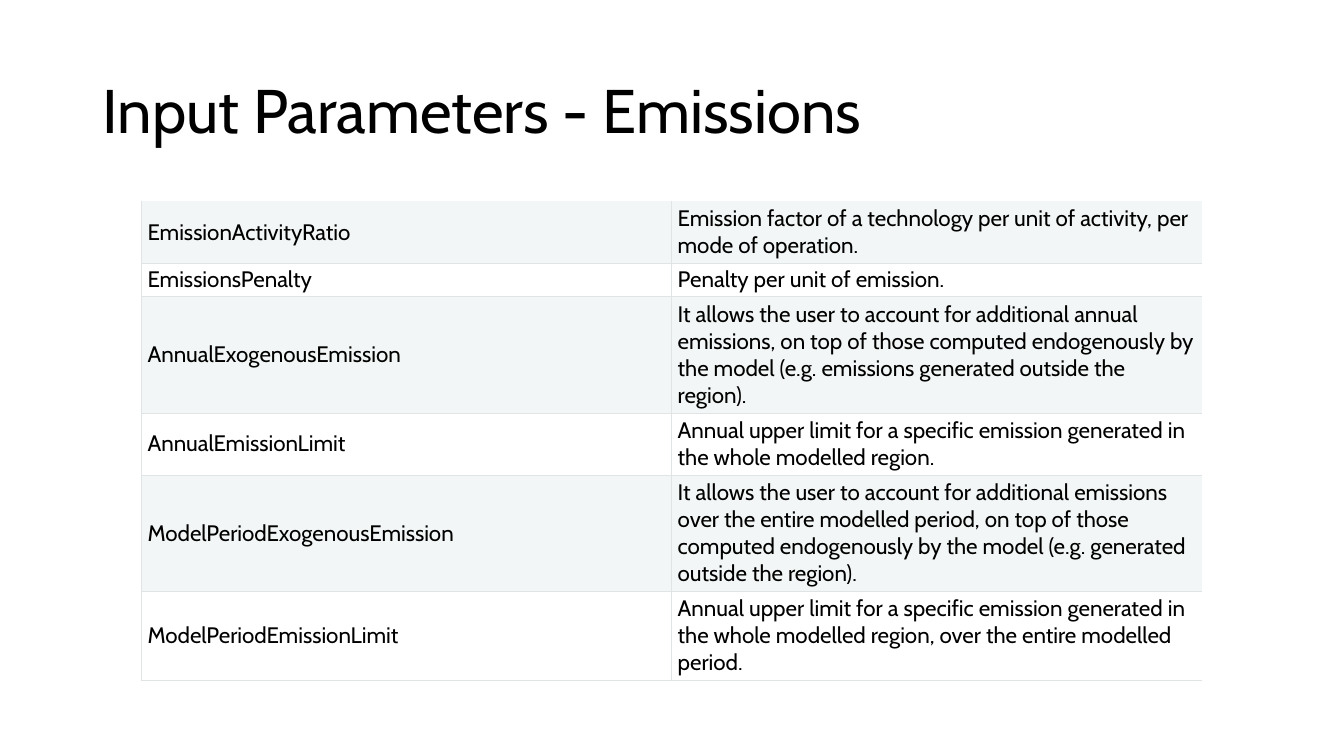
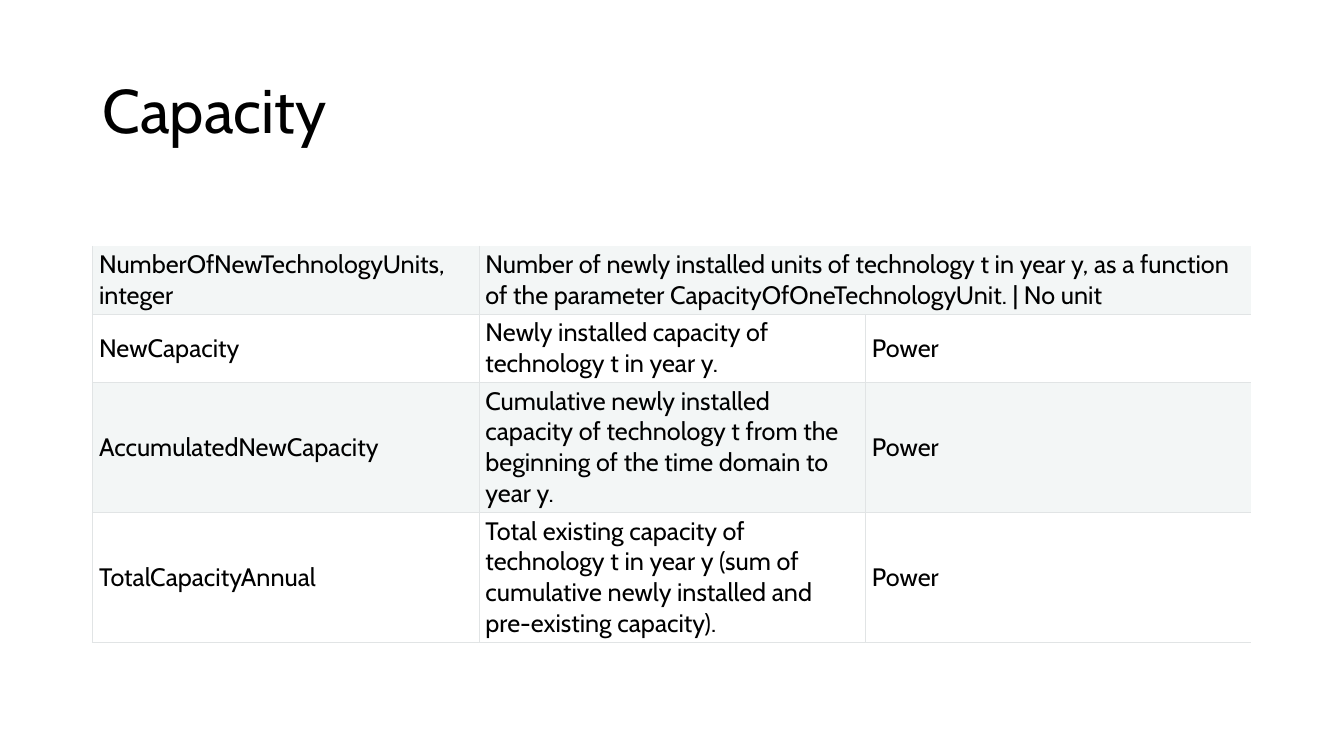
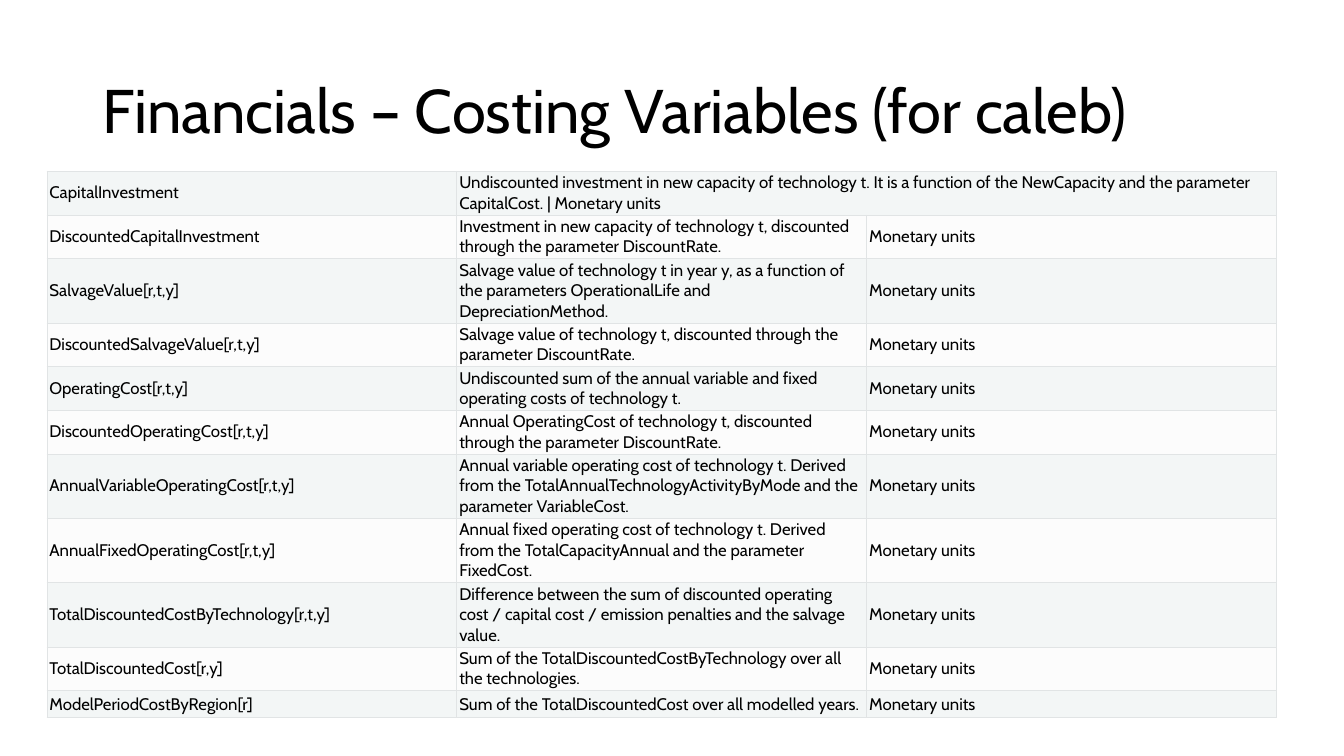
from dataclasses import dataclass

from lxml import etree
from pptx import Presentation
from pptx.dml.color import RGBColor
from pptx.enum.text import MSO_ANCHOR, MSO_AUTO_SIZE, PP_ALIGN
from pptx.oxml.ns import qn
from pptx.util import Pt

MIDDLE = MSO_ANCHOR.MIDDLE
LEFT = PP_ALIGN.LEFT
NO_FIT = MSO_AUTO_SIZE.NONE
TITLE_ONLY = 5


@dataclass(frozen=True)
class Theme:
    font: str = "Cabin"
    ink: str = "000000"
    band: str = "F3F6F6"
    pale: str = "FCFCFC"
    rule: str = "E1E4E5"
    hair: float = 0.3
    thick: float = 1
    title: int = 44
    large: int = 18
    medium: int = 16
    small: int = 12


THEME = Theme()


@dataclass(frozen=True)
class Look:
    """Type size, cell padding and edges of one table."""
    size: int
    pad_x: float
    pad_y: float
    plain: str = ""      # fill of the unbanded rows
    boxed: bool = False  # thin lines on all sides


# Table contents: a row with a cell too few spans its last one
EMISSIONS = [
    ("EmissionActivityRatio",
     "Emission factor of a technology per unit of activity, per mode of operation."),
    ("EmissionsPenalty", "Penalty per unit of emission."),
    ("AnnualExogenousEmission",
     "It allows the user to account for additional annual emissions, on top of those "
     "computed endogenously by the model (e.g. emissions generated outside the region)."),
    ("AnnualEmissionLimit",
     "Annual upper limit for a specific emission generated in the whole modelled region."),
    ("ModelPeriodExogenousEmission",
     "It allows the user to account for additional emissions over the entire modelled "
     "period, on top of those computed endogenously by the model (e.g. generated outside "
     "the region)."),
    ("ModelPeriodEmissionLimit",
     "Annual upper limit for a specific emission generated in the whole modelled region, "
     "over the entire modelled period."),
]

POWER = "Power"
CAPACITY = [
    ("NumberOfNewTechnologyUnits, integer",
     "Number of newly installed units of technology t in year y, as a function of the "
     "parameter CapacityOfOneTechnologyUnit. | No unit"),
    ("NewCapacity", "Newly installed capacity of technology t in year y.", POWER),
    ("AccumulatedNewCapacity",
     "Cumulative newly installed capacity of technology t from the beginning of the time "
     "domain to year y.", POWER),
    ("TotalCapacityAnnual",
     "Total existing capacity of technology t in year y (sum of cumulative newly "
     "installed and pre-existing capacity).", POWER),
]

MONEY = "Monetary units"
COSTS = [
    ("CapitalInvestment",
     "Undiscounted investment in new capacity of technology t. It is a function of the "
     "NewCapacity and the parameter CapitalCost. | Monetary units"),
    ("DiscountedCapitalInvestment",
     "Investment in new capacity of technology t, discounted through the parameter "
     "DiscountRate.", MONEY),
    ("SalvageValue[r,t,y]",
     "Salvage value of technology t in year y, as a function of the parameters "
     "OperationalLife and DepreciationMethod.", MONEY),
    ("DiscountedSalvageValue[r,t,y]",
     "Salvage value of technology t, discounted through the parameter DiscountRate.", MONEY),
    ("OperatingCost[r,t,y]",
     "Undiscounted sum of the annual variable and fixed operating costs of technology t.",
     MONEY),
    ("DiscountedOperatingCost[r,t,y]",
     "Annual OperatingCost of technology t, discounted through the parameter DiscountRate.",
     MONEY),
    ("AnnualVariableOperatingCost[r,t,y]",
     "Annual variable operating cost of technology t. Derived from the "
     "TotalAnnualTechnologyActivityByMode and the parameter VariableCost.", MONEY),
    ("AnnualFixedOperatingCost[r,t,y]",
     "Annual fixed operating cost of technology t. Derived from the TotalCapacityAnnual "
     "and the parameter FixedCost.", MONEY),
    ("TotalDiscountedCostByTechnology[r,t,y]",
     "Difference between the sum of discounted operating cost / capital cost / emission "
     "penalties and the salvage value.", MONEY),
    ("TotalDiscountedCost[r,y]",
     "Sum of the TotalDiscountedCostByTechnology over all the technologies.", MONEY),
    ("ModelPeriodCostByRegion[r]",
     "Sum of the TotalDiscountedCost over all modelled years.", MONEY),
]


def add_run(para, text, size):
    run = para.add_run()
    run.text = text
    run.font.name = THEME.font
    run.font.size = Pt(size)
    run.font.bold = False
    run.font.color.rgb = RGBColor.from_string(THEME.ink)


def add_slide(deck, text):
    slide = deck.slides.add_slide(deck.slide_layouts[TITLE_ONLY])
    title = slide.shapes.title
    title.left, title.top = Pt(66), Pt(28.75)
    title.width, title.height = Pt(828), Pt(104.4)
    frame = title.text_frame
    frame.word_wrap = True
    frame.auto_size = NO_FIT
    frame.vertical_anchor = MIDDLE
    para = frame.paragraphs[0]
    para.alignment = LEFT
    para.line_spacing = 0.9
    add_run(para, text, THEME.title)
    return slide


def set_edges(cell, edges):
    """Draw the left, right, top and bottom edges; width 0 hides one."""
    props = cell._tc.get_or_add_tcPr()
    for i, (side, width) in enumerate(zip("LRTB", edges)):
        line = etree.Element(qn(f"a:ln{side}"), w=str(Pt(width)))
        if width:
            fill = etree.SubElement(line, qn("a:solidFill"))
            etree.SubElement(fill, qn("a:srgbClr"), val=THEME.rule)
        else:
            etree.SubElement(line, qn("a:noFill"))
        props.insert(i, line)


def find_edges(look, row, col, count, used):
    hair, thick = THEME.hair, THEME.thick
    if look.boxed:
        return hair, hair, hair, hair
    left = thick if col == 0 else hair if col < used else 0
    right = hair if col < used - 1 else 0
    top = hair if row else 0
    bottom = thick if row == count - 1 else hair
    return left, right, top, bottom


def fill_cell(cell, color, look):
    if color:
        cell.fill.solid()
        cell.fill.fore_color.rgb = RGBColor.from_string(color)
    else:
        cell.fill.background()
    cell.vertical_anchor = MIDDLE
    cell.margin_left = cell.margin_right = Pt(look.pad_x)
    cell.margin_top = cell.margin_bottom = Pt(look.pad_y)


def add_grid(slide, data, place, heights, look):
    left, top, width = place
    cols = max(len(row) for row in data)
    frame = slide.shapes.add_table(len(data), cols, Pt(left), Pt(top),
                                   Pt(width), Pt(sum(heights)))
    grid = frame.table
    grid.first_row = grid.horz_banding = False
    for col in grid.columns:
        col.width = Pt(width / cols)
    for r, (row, height) in enumerate(zip(data, heights)):
        grid.rows[r].height = Pt(height)
        used = len(row)
        color = look.plain if r % 2 else THEME.band
        for c in range(cols):
            cell = grid.cell(r, c)
            fill_cell(cell, color, look)
            set_edges(cell, find_edges(look, r, c, len(data), used))
            if c < used:
                add_run(cell.text_frame.paragraphs[0], row[c], look.size)
        if used < cols:
            grid.cell(r, used - 1).merge(grid.cell(r, cols - 1))


def main():
    deck = Presentation()
    deck.slide_width, deck.slide_height = Pt(960), Pt(540)

    # Emissions
    slide = add_slide(deck, "Input Parameters - Emissions")
    add_grid(slide, EMISSIONS, (101, 143.7, 757.4),
             [44.2, 23.8, 83.3, 44.2, 83.3, 63.6],
             Look(THEME.medium, 4.4, 2.2))

    # Capacity
    slide = add_slide(deck, "Capacity")
    add_grid(slide, CAPACITY, (66, 175.7, 828), [48.5, 48.5, 92.8, 92.8],
             Look(THEME.large, 4.8, 2.4))

    # Costs: height follows the number of text lines
    slide = add_slide(deck, "Financials – Costing Variables (for caleb)")
    one, two, three = 19.4, 31.2, 46
    add_grid(slide, COSTS, (33.4, 122.2, 878.4),
             [two, two, three, two, two, two, three, three, three, two, one],
             Look(THEME.small, 1.9, 0.9, THEME.pale, True))

    deck.save("out.pptx")


if __name__ == "__main__":
    main()
